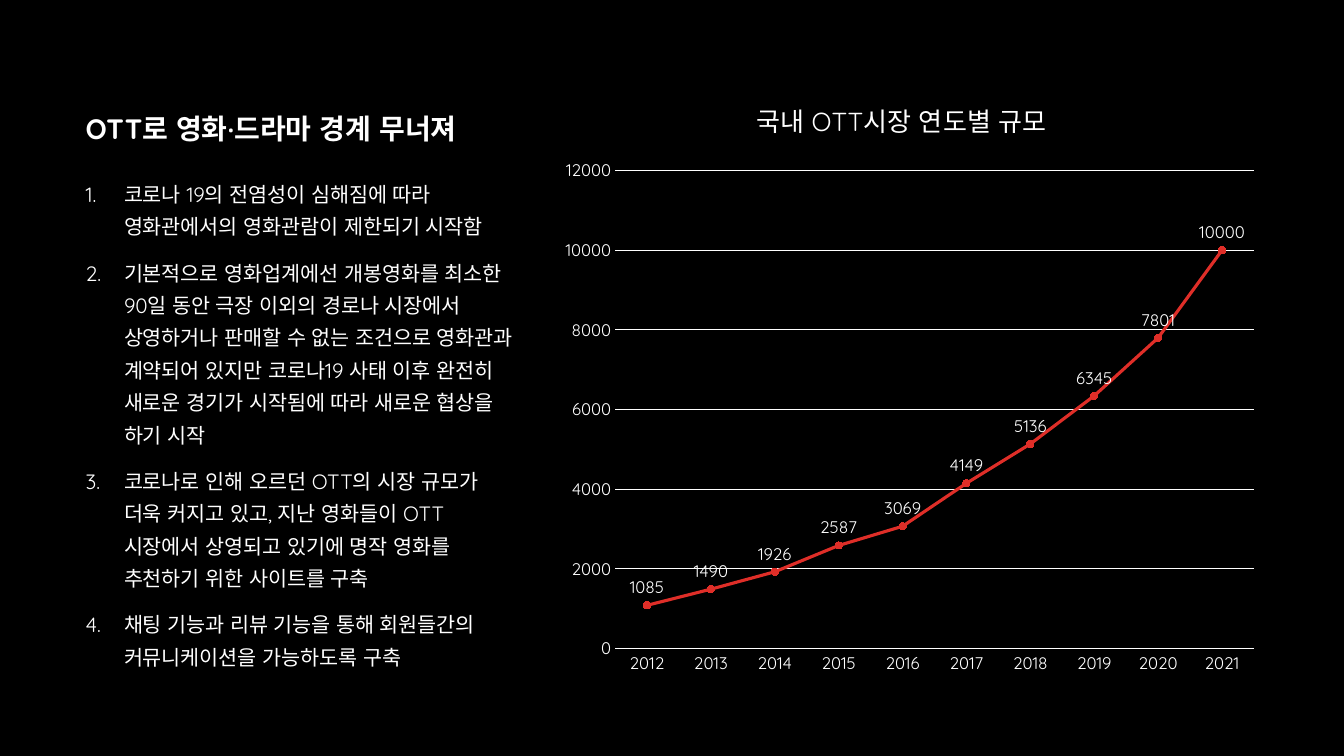
from typing import NamedTuple

from lxml.etree import SubElement
from pptx import Presentation
from pptx.chart.data import CategoryChartData
from pptx.dml.color import RGBColor
from pptx.enum.chart import XL_CHART_TYPE, XL_LABEL_POSITION, XL_MARKER_STYLE, XL_TICK_MARK
from pptx.enum.text import MSO_ANCHOR, MSO_AUTO_SIZE, PP_ALIGN
from pptx.oxml import parse_xml
from pptx.oxml.ns import nsdecls, qn
from pptx.util import Inches, Pt

FONT = "Quicksand"
WHITE, BLACK, RED = "FFFFFF", "000000", "DF2E28"
HEAD = "OTT로 영화·드라마 경계 무너져"
ITEMS = [
    "코로나 19의 전염성이 심해짐에 따라 영화관에서의 영화관람이 제한되기 시작함",
    "기본적으로 영화업계에선 개봉영화를 최소한 90일 동안 극장 이외의 경로나 시장에서 "
    "상영하거나 판매할 수 없는 조건으로 영화관과 계약되어 있지만 코로나19 사태 이후 완전히 "
    "새로운 경기가 시작됨에 따라 새로운 협상을 하기 시작",
    "코로나로 인해 오르던 OTT의 시장 규모가 더욱 커지고 있고, 지난 영화들이 OTT시장에서 "
    "상영되고 있기에 명작 영화를 추천하기 위한 사이트를 구축",
    "채팅 기능과 리뷰 기능을 통해 회원들간의 커뮤니케이션을 가능하도록 구축",
]
SALES = [1085, 1490, 1926, 2587, 3069, 4149, 5136, 6345, 7801, 10000]


class Box(NamedTuple):
    left: float
    top: float
    width: float
    height: float

    def place(self, shape) -> None:
        shape.left, shape.top = Inches(self.left), Inches(self.top)
        shape.width, shape.height = Inches(self.width), Inches(self.height)


def paint(fill, color: str) -> None:
    fill.solid()
    fill.fore_color.rgb = RGBColor.from_string(color)


def style(font, size: float, bold: bool = False) -> None:
    font.name, font.size, font.bold = FONT, Pt(size), bold
    paint(font.fill, WHITE)
    east = font._element.find(qn("a:ea"))
    if east is None:
        east = SubElement(font._element, qn("a:ea"))
    east.set("typeface", FONT)


def stroke(line, color: str, width: float) -> None:
    paint(line.fill, color)
    line.width = Pt(width)


def arrange(node, **spots) -> None:
    old = node.find(qn("c:layout"))
    if old is not None:
        node.remove(old)
    layout = parse_xml(f"<c:layout {nsdecls('c')}/>")
    manual = SubElement(layout, qn("c:manualLayout"))
    for key, val in spots.items():
        SubElement(manual, qn(f"c:{key}")).set("val", str(val))
    text = node.find(qn("c:tx"))
    node.insert(0 if text is None else 1, layout)


def add_head(shape) -> None:
    Box(0.75, 0.92, 4.5, 0.57).place(shape)
    frame = shape.text_frame
    frame.text = HEAD
    frame.vertical_anchor = MSO_ANCHOR.BOTTOM
    para = frame.paragraphs[0]
    para.alignment = PP_ALIGN.LEFT
    para.line_spacing = 0.9
    style(para.runs[0].font, 20, True)


def add_list(shape) -> None:
    Box(0.75, 1.68, 4.5, 5.25).place(shape)
    frame = shape.text_frame
    frame.text = "\n".join(ITEMS)
    frame.auto_size = MSO_AUTO_SIZE.NONE
    for para in frame.paragraphs:
        para.line_spacing = Pt(23.1)
        para.space_before = Pt(10)
        style(para.runs[0].font, 14.8)
        props = para._p.get_or_add_pPr()
        props.set("marL", str(Inches(0.38)))
        props.set("indent", str(Inches(-0.38)))
        SubElement(props, qn("a:buFont")).set("typeface", FONT)
        SubElement(props, qn("a:buAutoNum")).set("type", "arabicPeriod")


def add_graph(slide) -> None:
    data = CategoryChartData()
    data.categories = [str(year) for year in range(2012, 2022)]
    data.add_series("Series 1", SALES)
    area = [Inches(side) for side in Box(5.46, 0.82, 7.12, 5.98)]
    chart = slide.shapes.add_chart(XL_CHART_TYPE.LINE_MARKERS, *area, data).chart
    style(chart.font, 10)
    chart.has_legend = False
    chart.has_title = True
    frame = chart.chart_title.text_frame
    frame.text = "국내 OTT시장 연도별 규모"
    style(frame.paragraphs[0].runs[0].font, 18.6)
    chart.chart_title.include_in_layout = False
    arrange(chart.chart_title._element, xMode="edge", yMode="edge", x=0.28, y=0.024)

    for axis in (chart.category_axis, chart.value_axis):
        axis.major_tick_mark = axis.minor_tick_mark = XL_TICK_MARK.NONE
        style(axis.tick_labels.font, 12)
    stroke(chart.category_axis.format.line, WHITE, 0.75)
    values = chart.value_axis
    values.minimum_scale, values.maximum_scale, values.major_unit = 0, 12000, 2000
    values.format.line.fill.background()
    stroke(values.major_gridlines.format.line, WHITE, 0.75)

    plot = chart.plots[0]
    plot.vary_by_categories = False
    arrange(plot._element.getparent(), layoutTarget="inner", xMode="edge",
            yMode="edge", x=0.09, y=0.146, w=0.89, h=0.793)
    line = plot.series[0]
    line.smooth = False
    stroke(line.format.line, RED, 2.25)
    line.marker.style, line.marker.size = XL_MARKER_STYLE.CIRCLE, 5
    paint(line.marker.format.fill, RED)
    stroke(line.marker.format.line, RED, 0.75)
    labels = line.data_labels
    labels.show_value = True
    labels.position = XL_LABEL_POSITION.ABOVE
    style(labels.font, 12)


def main() -> None:
    deck = Presentation()
    deck.slide_width, deck.slide_height = Inches(13.33), Inches(7.5)
    slide = deck.slides.add_slide(deck.slide_layouts[1])
    paint(slide.background.fill, BLACK)
    add_head(slide.shapes.title)
    add_graph(slide)
    add_list(slide.placeholders[1])
    deck.save("out.pptx")


if __name__ == "__main__":
    main()
